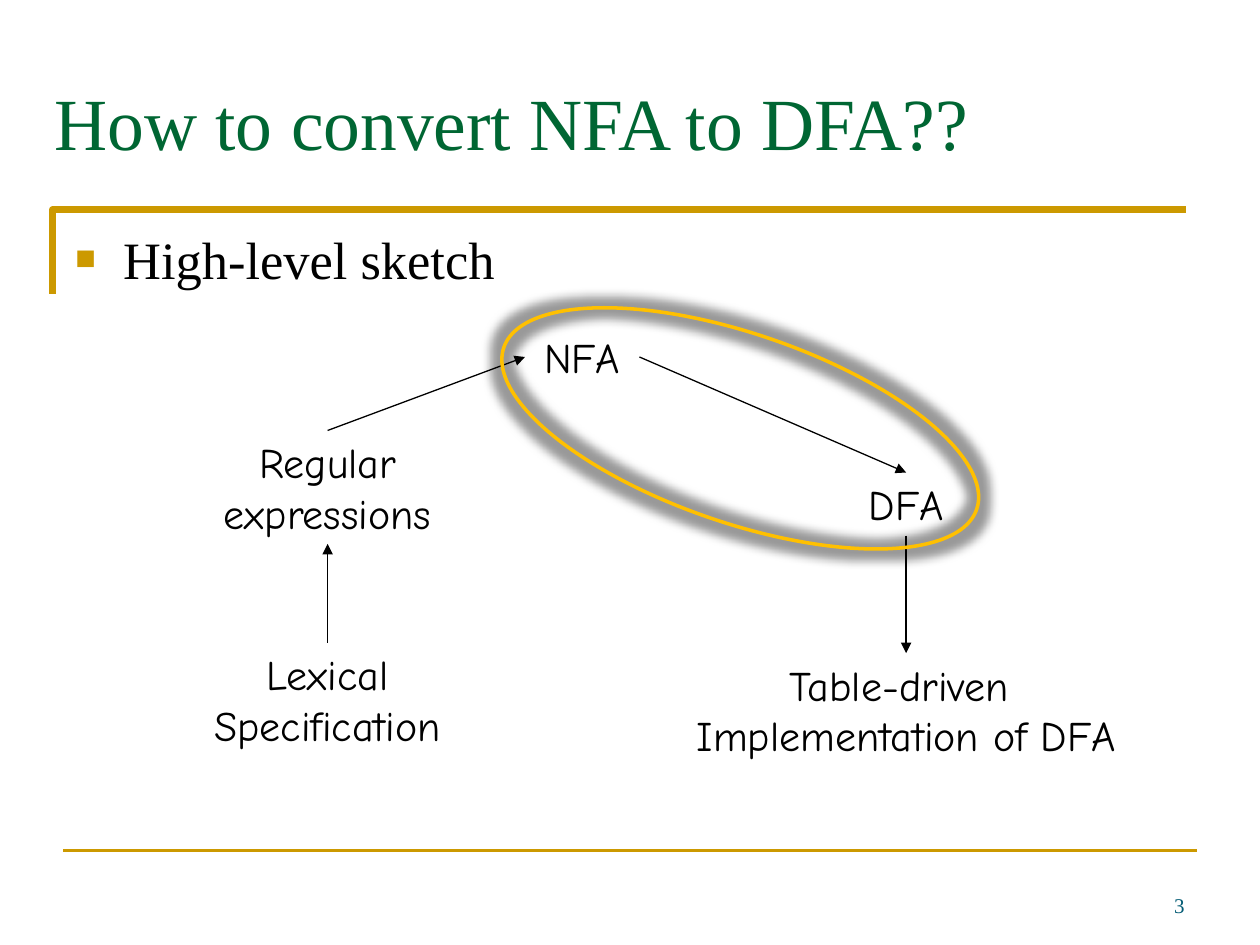
from lxml import etree
from pptx import Presentation
from pptx.dml.color import RGBColor
from pptx.enum.shapes import MSO_CONNECTOR, MSO_SHAPE
from pptx.enum.text import MSO_ANCHOR, MSO_AUTO_SIZE, PP_ALIGN
from pptx.oxml.ns import qn
from pptx.util import Inches, Pt

LINE = MSO_CONNECTOR.STRAIGHT
OVAL = MSO_SHAPE.OVAL
TOP, MIDDLE, BOTTOM = MSO_ANCHOR.TOP, MSO_ANCHOR.MIDDLE, MSO_ANCHOR.BOTTOM
LEFT, CENTER, RIGHT = PP_ALIGN.LEFT, PP_ALIGN.CENTER, PP_ALIGN.RIGHT
FIT_SHAPE = MSO_AUTO_SIZE.SHAPE_TO_FIT_TEXT

COLORS = {"title": "006633", "rule": "CC9900", "ink": "000000",
          "number": "045C75", "highlight": "FFC000"}
SERIF, HAND = "Times New Roman", "Comic Neue"
COLUMNS, ROWS = 120, 90


def cell(count):
    """Return the length of a number of grid cells, twelve to the inch."""
    return Inches(count / 12)


def color(name):
    """Return the named colour."""
    return RGBColor.from_string(COLORS[name])


def add_element(parent, tag, **attributes):
    """Append a DrawingML element and return it."""
    return etree.SubElement(parent, qn(tag), attributes)


def style_line(line, name, width):
    """Set the colour and width of a line."""
    line.color.rgb = color(name)
    line.width = Pt(width)


def add_text(slide, box, text, size, font, ink, align=LEFT, anchor=TOP):
    """Place styled text in a grid box and return its frame."""
    frame = slide.shapes.add_textbox(*map(cell, box)).text_frame
    frame.word_wrap = True
    frame.vertical_anchor = anchor
    frame.text = text
    for paragraph in frame.paragraphs:
        paragraph.alignment = align
        for run in paragraph.runs:
            run.font.size = Pt(size)
            run.font.name = font
            run.font.color.rgb = color(ink)
    return frame


def add_line(slide, start, end, ink, width, arrow=False):
    """Draw a straight line between two grid points."""
    connector = slide.shapes.add_connector(LINE, *map(cell, start + end))
    style_line(connector.line, ink, width)
    if arrow:
        add_element(connector.line._get_or_add_ln(), "a:tailEnd", type="triangle")
    add_element(connector._element.spPr, "a:effectLst")


def add_frame(slide, box):
    """Draw the corner bracket, the footer rule and the slide number."""
    left, top, width, height = box
    builder = slide.shapes.build_freeform(cell(left), cell(top + height))
    builder.add_line_segments(
        [(cell(left), cell(top)), (cell(left + width), cell(top))], close=False)
    bracket = builder.convert_to_shape()
    bracket.fill.background()
    bracket.shadow.inherit = False
    style_line(bracket.line, "rule", 4)
    add_line(slide, (6, 81), (COLUMNS - 6, 81), "rule", 2)
    add_text(slide, (86, 82, 28, 6), "3", 12, SERIF, "number", RIGHT, BOTTOM)


def add_bullet(slide, box, text):
    """Place a line of body text with a square bullet."""
    paragraph = add_text(slide, box, text, 30, SERIF, "ink").paragraphs[0]
    paragraph.space_before = Pt(6)
    properties = paragraph._p.get_or_add_pPr()
    indent = Inches(0.38)
    properties.set("marL", str(indent))
    properties.set("indent", str(-indent))
    bullet_color = add_element(properties, "a:buClr")
    add_element(bullet_color, "a:srgbClr", val=COLORS["rule"])
    add_element(properties, "a:buSzPct", val="65000")
    add_element(properties, "a:buFont", typeface=SERIF)
    add_element(properties, "a:buChar", char="■")


def add_highlight(slide, box):
    """Draw the tilted, glowing ring around the conversion step."""
    ring = slide.shapes.add_shape(OVAL, *map(cell, box))
    ring.rotation = 18.9
    ring.fill.background()
    style_line(ring.line, "highlight", 2)
    effects = add_element(ring._element.spPr, "a:effectLst")
    glow = add_element(effects, "a:glow", rad=str(Pt(11)))
    glow_color = add_element(glow, "a:srgbClr", val=COLORS["ink"])
    add_element(glow_color, "a:alpha", val="40000")


def add_pipeline(slide, box):
    """Draw the steps from specification to implementation in a grid box."""
    left, top, width, height = box
    source, target = left + 13.6, left + 68.7
    nfa_left, nfa_width = left + 32.4, 10.9
    steps = [
        ("Regular\nexpressions", source, 10, 24.4, 10.8),
        ("NFA", nfa_left + nfa_width / 2, 0, nfa_width, 6),
        ("DFA", target, 14, 10.7, 6),
        ("Lexical\nSpecification", source, 30.2, 27.1, 10.8),
        ("Table-driven \nImplementation of DFA", target, 31.2, 46.4, 10.8),
    ]
    for label, middle, row, span, depth in steps:
        frame = add_text(slide, (middle - span / 2, top + row, span, depth),
                         label, 24, HAND, "ink", CENTER)
        frame.word_wrap = False
        frame.auto_size = FIT_SHAPE
    arrows = [
        ((source, 30.2), (source, 20.8)),
        ((source, 10), (nfa_left, 3)),
        ((nfa_left + nfa_width, 3), (target, 14)),
        ((target, 20), (target, 31.2)),
    ]
    for (x1, y1), (x2, y2) in arrows:
        add_line(slide, (x1, top + y1), (x2, top + y2), "ink", 0.75, arrow=True)
    add_highlight(slide, (left + 29.1, top + 0.8, 47.6, 18))


def main():
    """Build and save the slide."""
    deck = Presentation()
    deck.slide_width, deck.slide_height = cell(COLUMNS), cell(ROWS)
    slide = deck.slides.add_slide(deck.slide_layouts[6])
    add_frame(slide, (5, 20, 108, 8))
    add_bullet(slide, (6, 21, 109, 7), "High-level sketch")
    add_pipeline(slide, (17.6, 31, 92, 42))
    add_text(slide, (4, 6, 114, 11), "How to convert NFA to DFA??",
             42, SERIF, "title", anchor=MIDDLE)
    deck.save("out.pptx")


if __name__ == "__main__":
    main()
